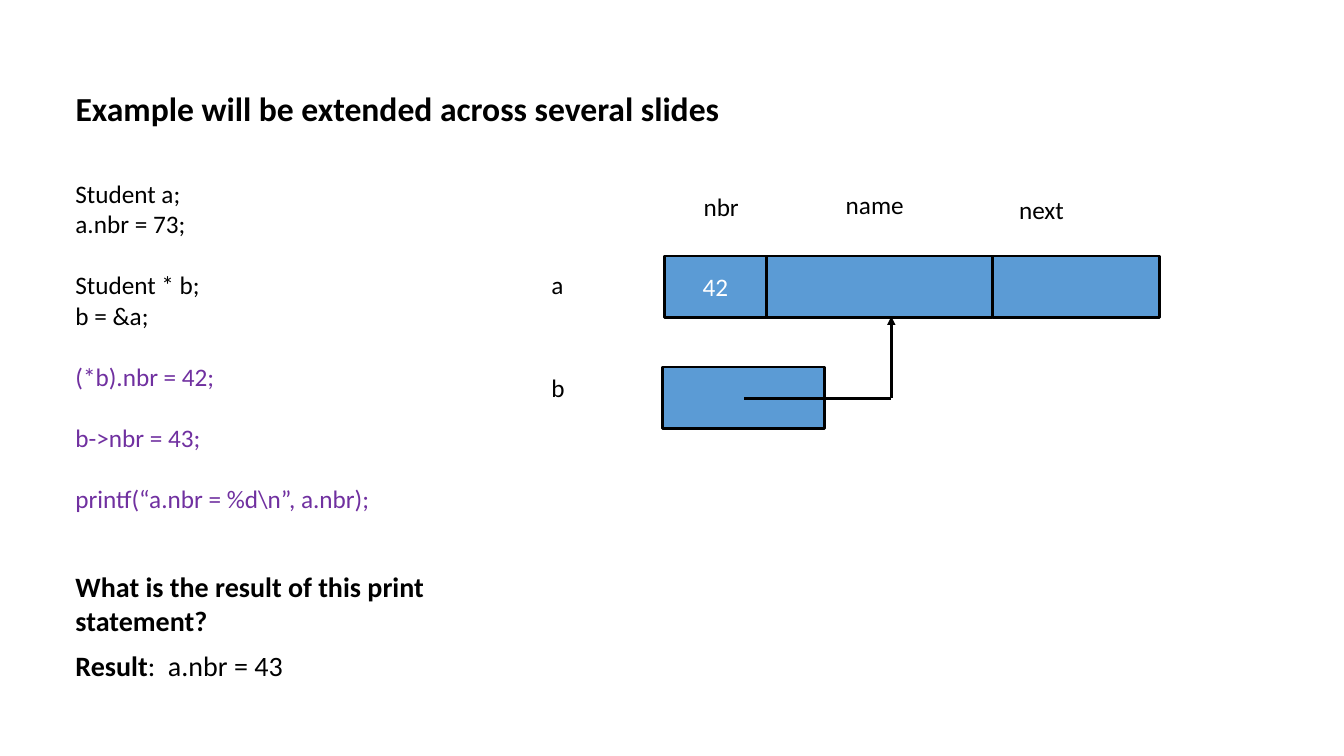
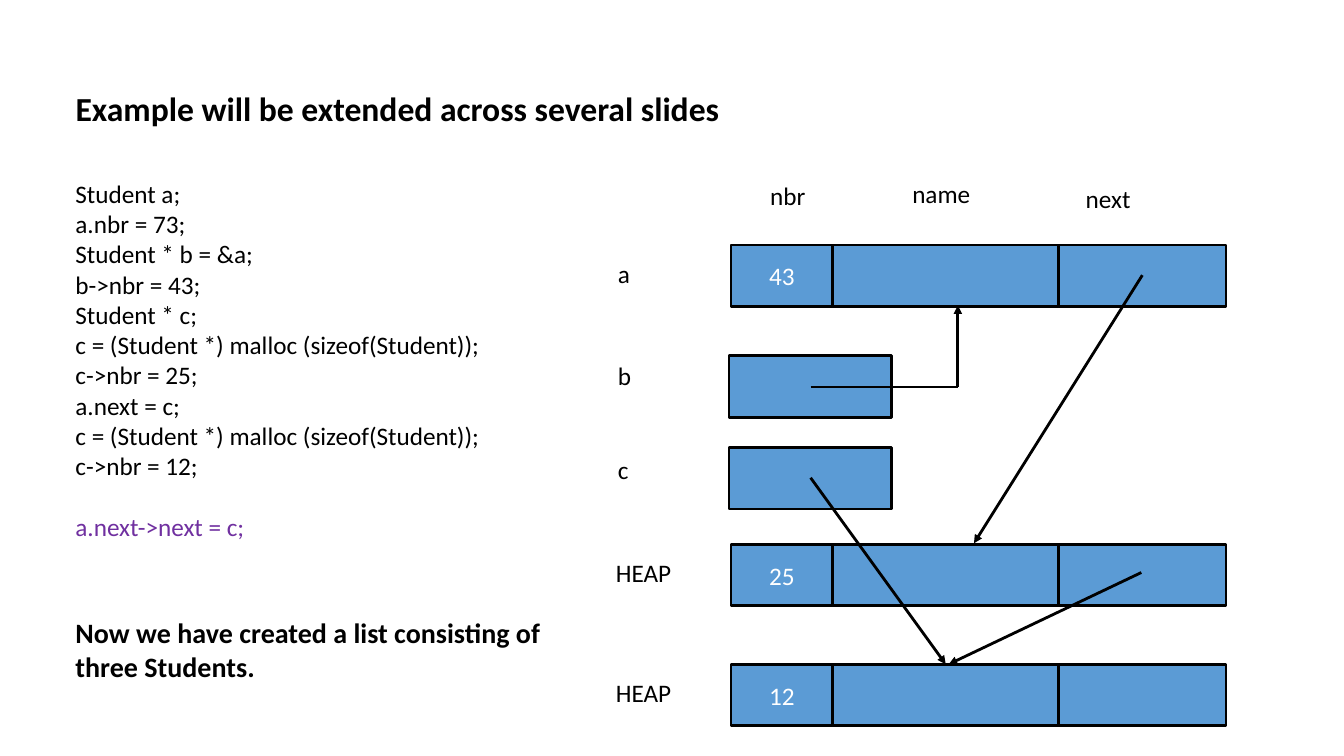
"""Build two slides that show C pointers and a linked list of Student records."""
from lxml.etree import SubElement
from pptx import Presentation
from pptx.dml.color import RGBColor
from pptx.enum.shapes import MSO_CONNECTOR, MSO_SHAPE
from pptx.enum.text import MSO_ANCHOR, MSO_AUTO_SIZE, PP_ALIGN
from pptx.oxml.ns import qn
from pptx.util import Inches, Pt

BLACK = RGBColor(0x00, 0x00, 0x00)
WHITE = RGBColor(0xFF, 0xFF, 0xFF)
BLUE = RGBColor(0x5B, 0x9B, 0xD5)
PURPLE = RGBColor(0x70, 0x30, 0xA0)
FONT = "Calibri"
LINE_WIDTH = Pt(2)
CODE_LINE = Pt(22)

presentation = Presentation()
presentation.slide_width = Inches(13.33)
presentation.slide_height = Inches(7.5)
COLUMN = presentation.slide_width / 13.33
ROW = presentation.slide_height / 7.5

TITLE = "Example will be extended across several slides"
MARGIN = 0.65
CELL_HEIGHT = 0.61
CELL_WIDTHS = (1.01, 2.24, 1.66)
POINTER_WIDTH = 1.61
LABEL_HEIGHT = 0.4
HEADINGS = (("nbr", 0.29, -0.69), ("name", 1.7, -0.71), ("next", 3.42, -0.66))
POINTER_B_LINES = (
    ((0.79, 1.41), (2.25, 1.41), False),
    ((2.25, 1.41), (2.25, 0.6), True),
)

SLIDES = (
    {
        "code": (
            (BLACK, ("Student a;", "a.nbr = 73;")),
            (BLACK, ("Student * b;", "b = &a;")),
            (PURPLE, ("(*b).nbr = 42;",)),
            (PURPLE, ("b->nbr = 43;",)),
            (PURPLE, (r"printf(“a.nbr = %d\n”, a.nbr);",)),
        ),
        "notes": (
            ("What is the result of this print statement?", "", 5.6, 0.44),
            ("Result", ":  a.nbr = 43", 6.38, 0.44),
        ),
        "origin": (6.59, 2.54),
        "records": (("42", 0),),
        "pointers": (1.1,),
        "labels": (("a", -1.22, 0.08), ("b", -1.22, 1.1)),
        "arrows": (),
    },
    {
        "code": (
            (BLACK, (
                "Student a;",
                "a.nbr = 73;",
                "Student * b = &a;",
                "b->nbr = 43;",
                "Student * c;",
                "c = (Student *) malloc (sizeof(Student));",
                "c->nbr = 25;",
                "a.next = c;",
                "c = (Student *) malloc (sizeof(Student));",
                "c->nbr = 12;",
            )),
            (PURPLE, ("a.next->next = c;",)),
        ),
        "notes": (
            ("Now we have created a list consisting of three Students.", "", 6.06, 0.77),
        ),
        "origin": (7.25, 2.43),
        "records": (("43", 0), ("25", 2.97), ("12", 4.16)),
        "pointers": (1.1, 2.01),
        "labels": (
            ("a", -1.22, 0.08),
            ("b", -1.22, 1.1),
            ("c", -1.22, 2.03),
            ("HEAP", -1.24, 3.05),
            ("HEAP", -1.24, 4.24),
        ),
        "arrows": (
            ((0.79, 2.31), (2.13, 4.16), True),
            ((4.08, 0.3), (2.41, 2.96), True),
            ((4.07, 3.25), (2.16, 4.16), True),
        ),
    },
)


def style_run(run, size, color=BLACK, bold=False):
    """Set the font of one run."""
    run.font.name = FONT
    run.font.size = Pt(size)
    run.font.bold = bold
    run.font.color.rgb = color


def add_text(slide, text, column, row, columns, rows, size=18, bold=False):
    """Add a wrapping text box on the grid and return its text frame."""
    shape = slide.shapes.add_textbox(
        int(column * COLUMN), int(row * ROW), int(columns * COLUMN), int(rows * ROW)
    )
    text_frame = shape.text_frame
    text_frame.word_wrap = True
    text_frame.text = text
    for paragraph in text_frame.paragraphs:
        for run in paragraph.runs:
            style_run(run, size, bold=bold)
    return text_frame


for content in SLIDES:
    slide = presentation.slides.add_slide(presentation.slide_layouts[5])
    left, top = content["origin"]

    title = slide.shapes.title
    title.left, title.top = int(MARGIN * COLUMN), int(0.82 * ROW)
    title.width, title.height = int(9.35 * COLUMN), int(0.5 * ROW)
    title.text_frame.text = TITLE
    title.text_frame.auto_size = MSO_AUTO_SIZE.NONE
    title.text_frame.vertical_anchor = MSO_ANCHOR.TOP
    title.text_frame.paragraphs[0].alignment = PP_ALIGN.LEFT
    style_run(title.text_frame.paragraphs[0].runs[0], 24, bold=True)

    lines = [
        (line, color, group > 0 and position == 0)
        for group, (color, group_lines) in enumerate(content["code"])
        for position, line in enumerate(group_lines)
    ]
    code = add_text(slide, "\n".join(line for line, _, _ in lines), MARGIN, 1.72, 4.54, 3.74)
    for paragraph, (_, color, starts_group) in zip(code.paragraphs, lines):
        paragraph.runs[0].font.color.rgb = color
        if starts_group:
            paragraph.space_before = CODE_LINE

    for strong, plain, row, rows in content["notes"]:
        note = add_text(slide, strong, MARGIN, row, 4.91, rows, 20, True)
        if plain:
            run = note.paragraphs[0].add_run()
            run.text = plain
            style_run(run, 20)

    for text, column, row in HEADINGS + content["labels"]:
        add_text(slide, text, left + column, top + row, 1.03, LABEL_HEIGHT)

    boxes = [("", -0.02, row, POINTER_WIDTH) for row in content["pointers"]]
    for number, row in content["records"]:
        for index, width in enumerate(CELL_WIDTHS):
            text = number if index == 0 else ""
            boxes.append((text, sum(CELL_WIDTHS[:index]), row, width))
    for text, column, row, width in boxes:
        box = slide.shapes.add_shape(
            MSO_SHAPE.RECTANGLE,
            int((left + column) * COLUMN),
            int((top + row) * ROW),
            int(width * COLUMN),
            int(CELL_HEIGHT * ROW),
        )
        box.shadow.inherit = False
        box.fill.solid()
        box.fill.fore_color.rgb = BLUE
        box.line.color.rgb = BLACK
        box.line.width = LINE_WIDTH
        if text:
            box.text_frame.text = text
            box.text_frame.vertical_anchor = MSO_ANCHOR.MIDDLE
            box.text_frame.paragraphs[0].alignment = PP_ALIGN.CENTER
            style_run(box.text_frame.paragraphs[0].runs[0], 18, WHITE)

    for start, end, has_head in POINTER_B_LINES + content["arrows"]:
        connector = slide.shapes.add_connector(
            MSO_CONNECTOR.STRAIGHT,
            int((left + start[0]) * COLUMN),
            int((top + start[1]) * ROW),
            int((left + end[0]) * COLUMN),
            int((top + end[1]) * ROW),
        )
        connector.line.color.rgb = BLACK
        connector.line.width = LINE_WIDTH
        if has_head:
            SubElement(connector.line._get_or_add_ln(), qn("a:tailEnd"), type="triangle")
        SubElement(connector._element.spPr, qn("a:effectLst"))

presentation.save("out.pptx")
